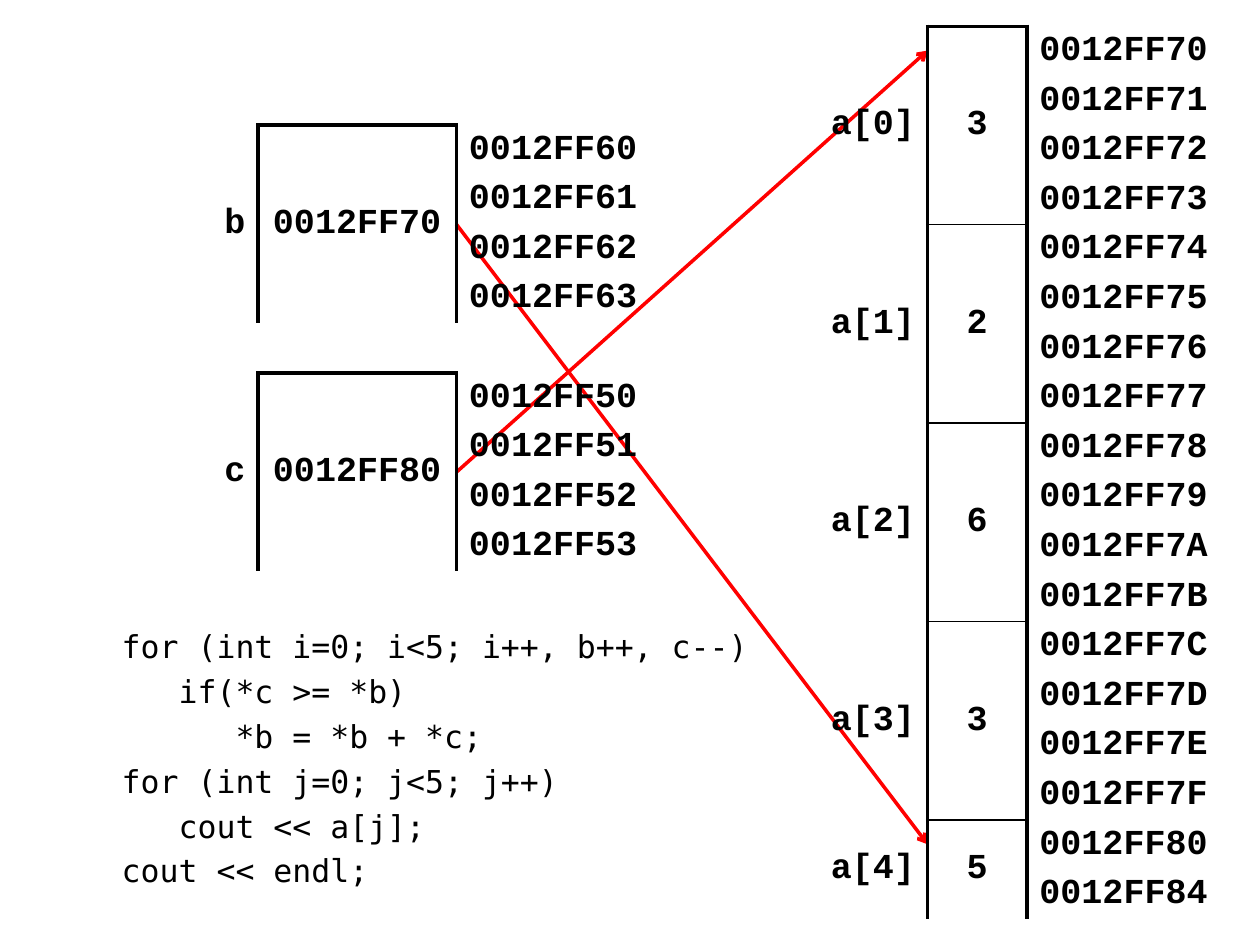
"""Build a slide tracing two pointers through an integer array."""
from dataclasses import dataclass

from lxml import etree
from pptx import Presentation
from pptx import util as u
from pptx.dml.color import RGBColor
from pptx.enum import shapes, text
from pptx.oxml import ns

BLACK = "000000"
RED = "FF0000"
THICK, THIN = 2.25, 1
CELLS_PER_VALUE = 4
PLAIN_STYLE = "{2D5ABB26-0587-4C30-8999-92F81FD0307C}"
CODE = (
    "for (int i=0; i<5; i++, b++, c--)",
    "   if(*c >= *b)",
    "      *b = *b + *c;",
    "for (int j=0; j<5; j++)",
    "   cout << a[j];",
    "cout << endl;",
)


@dataclass
class Memory:
    left: float
    top: float
    widths: tuple[float, float, float]
    names: list[str]
    values: list[str]
    addresses: list[int]
    bottom: float = THICK


@dataclass
class Arrow:
    start: tuple[float, float]
    end: tuple[float, float]


MEMORIES = (
    Memory(16.2, 0.53, (2.5, 2, 4), [f"a[{i}]" for i in range(5)], list("32635"),
           [*range(0x12FF70, 0x12FF81), 0x12FF84], bottom=0),
    Memory(4.2, 2.52, (1, 4, 4), ["b"], ["0012FF70"], list(range(0x12FF60, 0x12FF64))),
    Memory(4.2, 7.52, (1, 4, 4), ["c"], ["0012FF80"], list(range(0x12FF50, 0x12FF54))),
)
ARROWS = (Arrow((9.2, 4.52), (18.7, 17.02)), Arrow((9.2, 9.52), (18.7, 1.02)))


def color(value: str) -> RGBColor:
    """Turn a hex string into a colour."""
    return RGBColor.from_string(value)


def add_run(paragraph, words: str, font_name: str, size: float, bold: bool = False) -> None:
    """Add one formatted run to a paragraph."""
    run = paragraph.add_run()
    run.text = words
    run.font.name = font_name
    run.font.size = u.Pt(size)
    run.font.bold = bold
    run.font.color.rgb = color(BLACK)


def add_border(cell, side: str, width: float) -> None:
    """Draw one side of a table cell."""
    properties = cell._tc.get_or_add_tcPr()
    line = etree.SubElement(properties, ns.qn(f"a:ln{side}"), w=str(u.Pt(width)))
    fill = etree.SubElement(line, ns.qn("a:solidFill"))
    etree.SubElement(fill, ns.qn("a:srgbClr"), val=BLACK)


def write_cell(cell, words: str, alignment) -> None:
    """Write bold monospaced text in a table cell."""
    paragraph = cell.text_frame.paragraphs[0]
    paragraph.alignment = alignment
    add_run(paragraph, words, "Courier New", 20, True)


def add_memory(slide, memory: Memory) -> None:
    """Draw named values beside the addresses they occupy."""
    count = len(memory.addresses)
    shape = slide.shapes.add_table(count, 3, u.Cm(memory.left), u.Cm(memory.top),
                                   u.Cm(sum(memory.widths)), u.Cm(count))
    table = shape.table
    table.first_row = table.horz_banding = False
    table._tbl.tblPr.find(ns.qn("a:tableStyleId")).text = PLAIN_STYLE
    for column, width in zip(table.columns, memory.widths):
        column.width = u.Cm(width)

    for row, address in enumerate(memory.addresses):
        table.rows[row].height = u.Cm(1)
        name_cell, value_cell, address_cell = table.rows[row].cells
        add_border(name_cell, "R", THICK)
        add_border(value_cell, "L", THICK)
        add_border(value_cell, "R", THICK)
        add_border(address_cell, "L", THICK)
        if row % CELLS_PER_VALUE == 0:
            add_border(value_cell, "T", THIN if row else THICK)
        last = row == count - 1
        if last and memory.bottom:
            add_border(value_cell, "B", memory.bottom)
        elif not last and (row + 1) % CELLS_PER_VALUE == 0:
            add_border(value_cell, "B", THIN)
        for cell in (name_cell, value_cell, address_cell):
            cell.fill.background()
            cell.margin_top = cell.margin_bottom = u.Cm(0.05)
            cell.vertical_anchor = text.MSO_ANCHOR.MIDDLE
        write_cell(address_cell, f"{address:08X}", text.PP_ALIGN.LEFT)

    for index, (name, value) in enumerate(zip(memory.names, memory.values)):
        first = index * CELLS_PER_VALUE
        last = min(first + CELLS_PER_VALUE, count) - 1
        for column, words, alignment in ((0, name, text.PP_ALIGN.RIGHT),
                                         (1, value, text.PP_ALIGN.CENTER)):
            cell = table.cell(first, column)
            cell.merge(table.cell(last, column))
            write_cell(cell, words, alignment)


def add_arrow(slide, arrow: Arrow) -> None:
    """Draw a red pointer arrow."""
    points = [u.Cm(value) for value in (*arrow.start, *arrow.end)]
    connector = slide.shapes.add_connector(shapes.MSO_CONNECTOR.STRAIGHT, *points)
    connector.line.color.rgb = color(RED)
    connector.line.width = u.Pt(2)
    etree.SubElement(connector.line._get_or_add_ln(), ns.qn("a:tailEnd"), type="arrow")
    etree.SubElement(connector._element.spPr, ns.qn("a:effectLst"))


def add_code(body) -> None:
    """Place the program listing in the body placeholder."""
    body.left, body.top = u.Cm(2.2), u.Cm(12.52)
    body.width, body.height = u.Cm(13.5), u.Cm(5.5)
    frame = body.text_frame
    frame.word_wrap = True
    frame.auto_size = text.MSO_AUTO_SIZE.NONE
    for index, line in enumerate(CODE):
        paragraph = frame.add_paragraph() if index else frame.paragraphs[0]
        paragraph.space_before = u.Pt(4 if index else 0)
        properties = paragraph._p.get_or_add_pPr()
        properties.set("marL", "0")
        properties.set("indent", "0")
        etree.SubElement(properties, ns.qn("a:buNone"))
        add_run(paragraph, line, "DejaVu Sans Mono", 18)


def main() -> None:
    """Build and save the presentation."""
    presentation = Presentation()
    presentation.slide_width, presentation.slide_height = u.Cm(25.4), u.Cm(19.05)
    slide = presentation.slides.add_slide(presentation.slide_layouts[1])
    title = slide.shapes.title._element
    title.getparent().remove(title)
    add_code(slide.placeholders[1])
    for arrow in ARROWS:
        add_arrow(slide, arrow)
    for memory in MEMORIES:
        add_memory(slide, memory)
    presentation.save("out.pptx")


if __name__ == "__main__":
    main()
